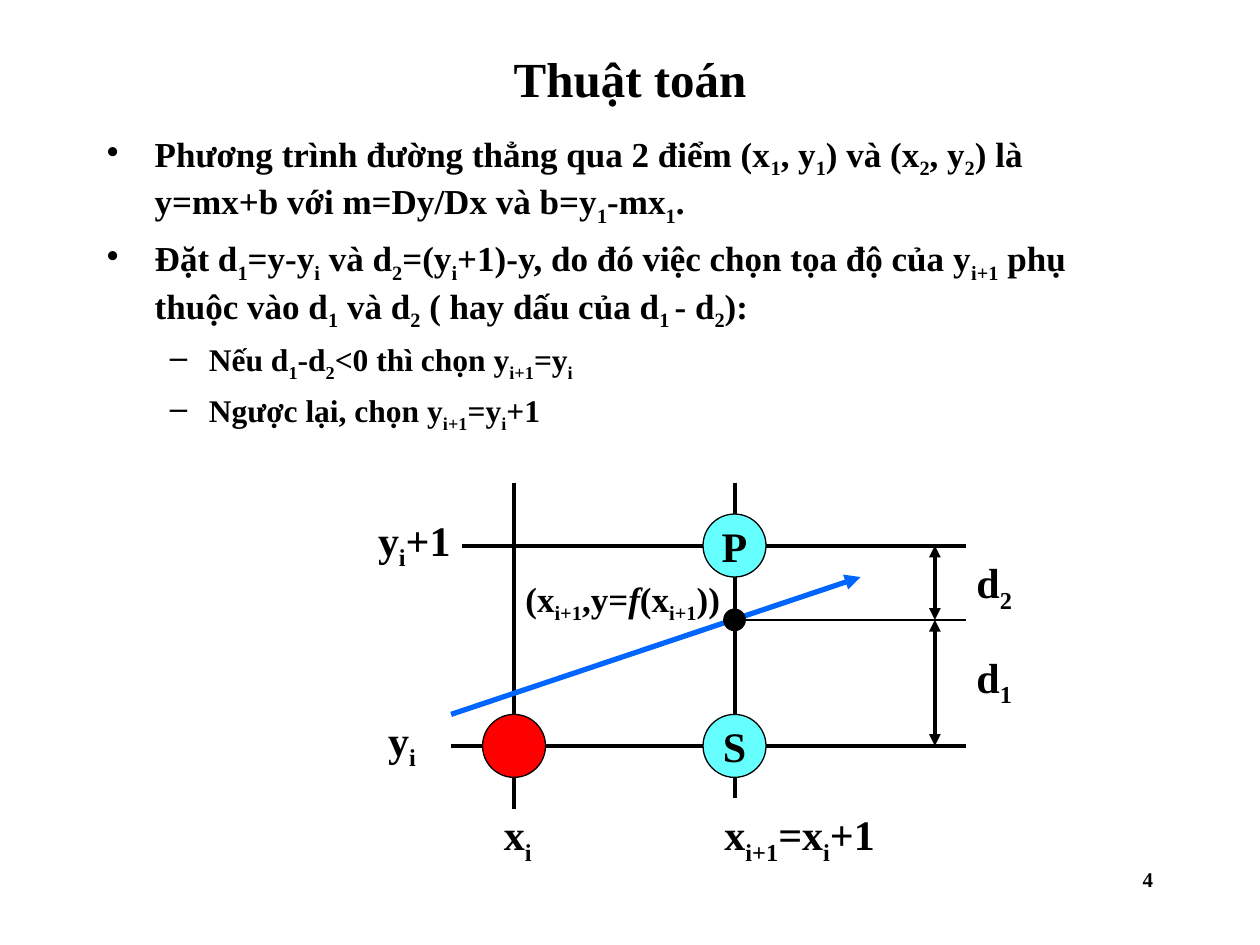
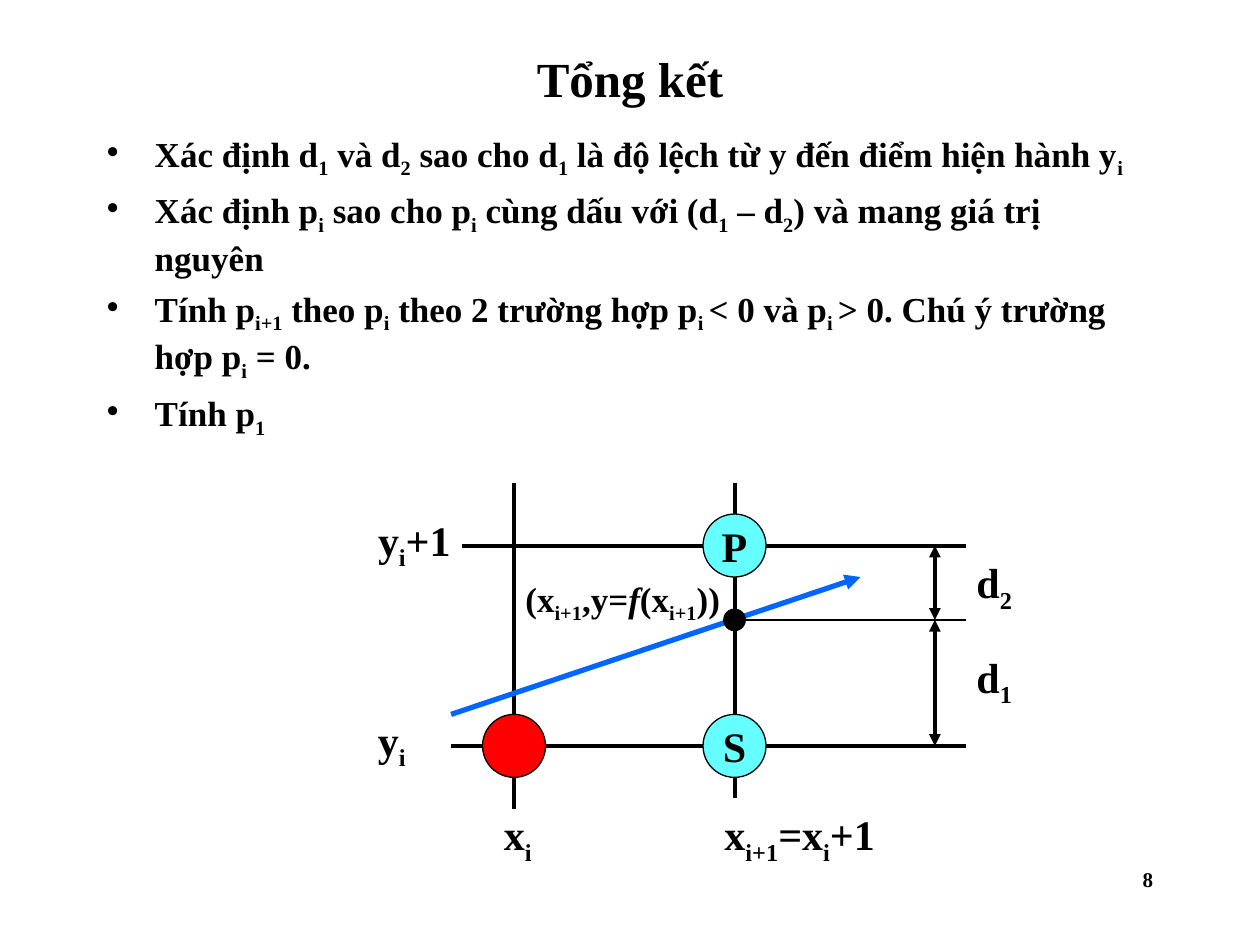
from lxml import etree
from pptx import Presentation
from pptx.dml.color import RGBColor
from pptx.enum.shapes import MSO_CONNECTOR, MSO_SHAPE
from pptx.enum.text import MSO_ANCHOR, PP_ALIGN
from pptx.oxml.ns import qn
from pptx.util import Inches, Pt

FONT = "Times New Roman"
BLACK, RED, CYAN, BLUE = "000000", "FF0000", "66FFFF", "0066FF"

# Bullet levels: character, size, left margin, hanging indent, space before
LEVELS = [("•", 20, 0.38, 0.38, 5), ("–", 18, 0.81, 0.31, 4.5)]

# Grid of the midpoint diagram
X_I, X_NEXT, X_END, X_DIM = 4.08, 5.83, 7.67, 7.42
Y_TOP, Y_NEXT, Y_LINE, Y_I = 3.83, 4.33, 4.92, 5.92

# Text marks: {subscript} and |italic|
SLIDES = [
    ("Thuật toán", "4", 3.08, [
        (0, "Phương trình đường thẳng qua 2 điểm (x{1}, y{1}) và (x{2}, y{2}) là "
            "y=mx+b với m=Dy/Dx và b=y{1}-mx{1}."),
        (0, "Đặt d{1}=y-y{i} và d{2}=(y{i}+1)-y, do đó việc chọn tọa độ của y{i+1} "
            "phụ thuộc vào d{1} và d{2} ( hay dấu của d{1 }- d{2}):"),
        (1, "Nếu d{1}-d{2}<0 thì chọn y{i+1}=y{i}"),
        (1, "Ngược lại, chọn y{i+1}=y{i}+1"),
    ]),
    ("Tổng kết", "8", 3, [
        (0, "Xác định d{1} và d{2} sao cho d{1} là độ lệch từ y đến điểm hiện hành y{i}"),
        (0, "Xác định p{i} sao cho p{i} cùng dấu với (d{1} – d{2}) và mang giá trị nguyên"),
        (0, "Tính p{i+1} theo p{i} theo 2 trường hợp p{i }< 0 và p{i }> 0. "
            "Chú ý trường hợp p{i} = 0."),
        (0, "Tính p{1}"),
    ]),
]


def rgb(value):
    return RGBColor.from_string(value)


class Deck:
    def __init__(self):
        self.prs = Presentation()
        self.prs.slide_width, self.prs.slide_height = Inches(10), Inches(7.5)
        self.s = None

    def new_slide(self):
        self.s = self.prs.slides.add_slide(self.prs.slide_layouts[6])

    def add_runs(self, p, text, size):
        """Fill a paragraph, turning the marks into subscript and italic runs."""
        for i, piece in enumerate(text.replace("}", "{").split("{")):
            for j, part in enumerate(piece.split("|")):
                if not part:
                    continue
                r = p.add_run()
                r.text = part
                r.font.name, r.font.size, r.font.bold = FONT, Pt(size), True
                r.font.color.rgb = rgb(BLACK)
                if i % 2:
                    r.font._element.set("baseline", "-25000")
                if j % 2:
                    r.font.italic = True

    def box(self, x, y, w, h, inset=True):
        tf = self.s.shapes.add_textbox(Inches(x), Inches(y), Inches(w), Inches(h)).text_frame
        tf.word_wrap = True
        tf.margin_left = tf.margin_right = Inches(0.1 if inset else 0)
        tf.margin_top = tf.margin_bottom = Inches(0.05 if inset else 0)
        return tf

    def title(self, text):
        tf = self.box(0.75, 0.33, 8.5, 0.58)
        tf.vertical_anchor = MSO_ANCHOR.MIDDLE
        tf.paragraphs[0].alignment = PP_ALIGN.CENTER
        self.add_runs(tf.paragraphs[0], text, 28)

    def page_number(self, text):
        p = self.box(7.17, 6.83, 2.08, 0.5).paragraphs[0]
        p.alignment = PP_ALIGN.RIGHT
        self.add_runs(p, text, 12)

    def bullets(self, items):
        tf = self.box(0.75, 1, 8.5, 5.67)
        for i, (level, text) in enumerate(items):
            char, size, margin, hang, before = LEVELS[level]
            p = tf.add_paragraph() if i else tf.paragraphs[0]
            p.level = level
            if i:
                p.space_before = Pt(before)
            pPr = p._p.get_or_add_pPr()
            pPr.set("marL", str(Inches(margin)))
            pPr.set("indent", str(-Inches(hang)))
            etree.SubElement(pPr, qn("a:buChar")).set("char", char)
            self.add_runs(p, text, size)

    def label(self, x, y, text, w=0.33, h=0.46, size=24):
        self.add_runs(self.box(x, y, w, h, inset=False).paragraphs[0], text, size)

    def line(self, x1, y1, x2, y2, color=BLACK, width=2.25, arrows=()):
        cn = self.s.shapes.add_connector(
            MSO_CONNECTOR.STRAIGHT, Inches(x1), Inches(y1), Inches(x2), Inches(y2))
        cn.line.color.rgb = rgb(color)
        cn.line.width = Pt(width)
        for end in arrows:
            etree.SubElement(cn.line._get_or_add_ln(), qn(f"a:{end}")).set("type", "triangle")
        etree.SubElement(cn._element.spPr, qn("a:effectLst"))

    def circle(self, cx, cy, d, fill, text=""):
        sp = self.s.shapes.add_shape(
            MSO_SHAPE.OVAL, Inches(cx - d / 2), Inches(cy - d / 2), Inches(d), Inches(d))
        sp.shadow.inherit = False
        sp.fill.solid()
        sp.fill.fore_color.rgb = rgb(fill)
        sp.line.color.rgb = rgb(BLACK)
        sp.line.width = Pt(0.75)
        if text:
            tf = sp.text_frame
            tf.word_wrap = False
            tf.vertical_anchor = MSO_ANCHOR.MIDDLE
            tf.paragraphs[0].alignment = PP_ALIGN.CENTER
            self.add_runs(tf.paragraphs[0], text, 24)

    def diagram(self, y_label_x):
        # Grid lines
        self.line(X_I, Y_TOP, X_I, 6.42)
        self.line(X_NEXT, Y_TOP, X_NEXT, 6.33)
        self.line(3.67, Y_NEXT, X_END, Y_NEXT)
        self.line(3.58, Y_I, X_END, Y_I)

        # Candidate pixels and the true line
        self.circle(X_I, Y_I, 0.5, RED)
        self.circle(X_NEXT, Y_NEXT, 0.5, CYAN, "P")
        self.line(3.58, 5.67, 6.83, 4.58, BLUE, 3, ["tailEnd"])
        self.circle(X_NEXT, Y_I, 0.5, CYAN, "S")
        self.circle(X_NEXT, Y_LINE, 0.17, BLACK)

        # Distances d1 and d2
        self.line(X_NEXT, Y_LINE, X_END, Y_LINE, width=0.75)
        for top, bottom in ((Y_NEXT, Y_LINE), (Y_LINE, Y_I)):
            self.line(X_DIM, top, X_DIM, bottom, arrows=["headEnd", "tailEnd"])

        # Labels
        self.label(4, 6.42, "x{i}")
        self.label(5.75, 6.42, "x{i+1}=x{i}+1", w=1.33)
        self.label(y_label_x, 5.67, "y{i}")
        self.label(3, 4.08, "y{i}+1", w=0.75)
        self.label(7.75, 4.42, "d{2}")
        self.label(7.75, 5.17, "d{1}")
        self.label(4.17, 4.58, "(x{i+1},y=|f|(x{i+1}))", w=1.67, h=0.38, size=20)


def main():
    deck = Deck()
    for title, number, y_label_x, items in SLIDES:
        deck.new_slide()
        deck.title(title)
        deck.bullets(items)
        deck.diagram(y_label_x)
        deck.page_number(number)
    deck.prs.save("out.pptx")


if __name__ == "__main__":
    main()
